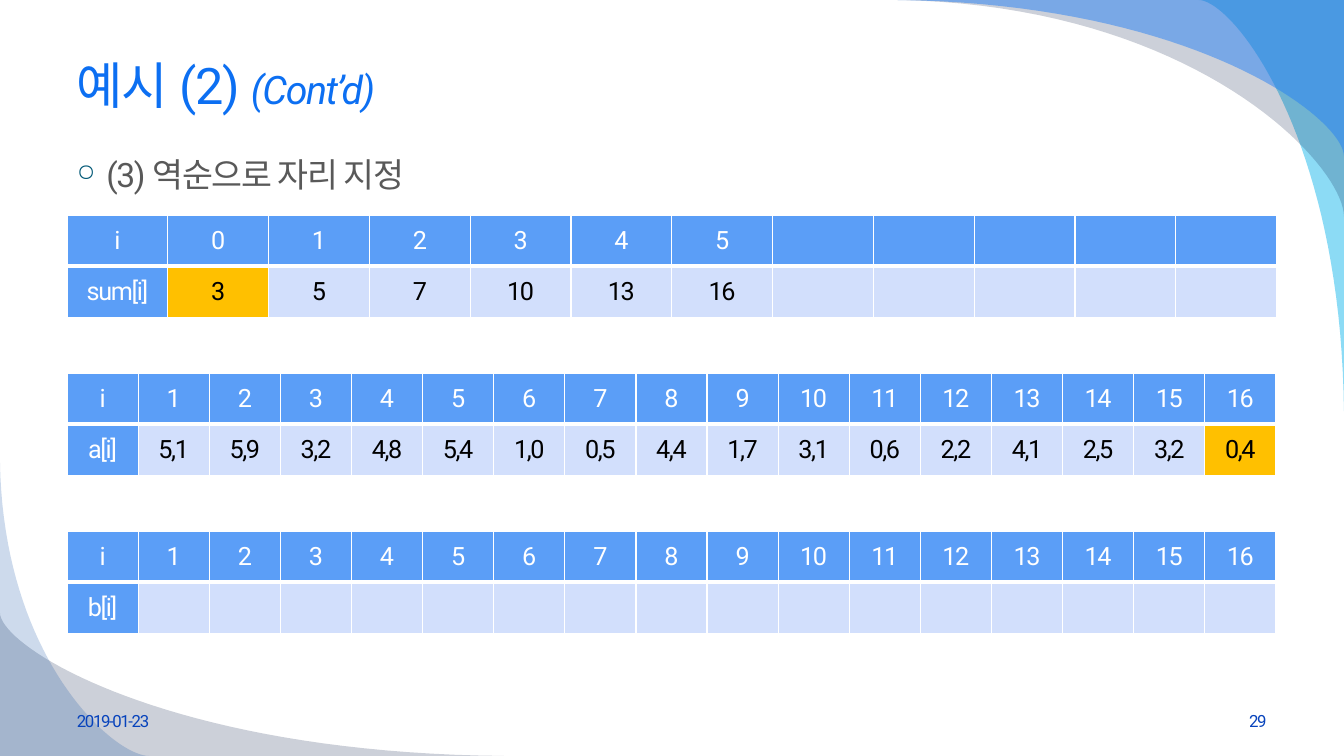
from lxml import etree
from pptx import Presentation
from pptx.dml.color import RGBColor
from pptx.enum.text import MSO_ANCHOR, PP_ALIGN
from pptx.oxml.ns import qn
from pptx.util import Cm, Pt

LEFT, CENTER, RIGHT = PP_ALIGN.LEFT, PP_ALIGN.CENTER, PP_ALIGN.RIGHT
TOP, MIDDLE = MSO_ANCHOR.TOP, MSO_ANCHOR.MIDDLE
FONT = "Roboto"
WHITE, BLACK, HEADER, BODY, MARKED = "FFFFFF", "000000", "5B9EF7", "D2DFFC", "FFC000"
FOOTER_BLUE = "0743BC"


def color(hex_string):
    return RGBColor.from_string(hex_string)


def write(para, text, size=18, ink=WHITE, italic=False, align=LEFT):
    """Add a run with tight letter spacing to a paragraph."""
    para.alignment = align
    span = para.add_run()
    span.text = text
    span.font.size = Pt(size)
    span.font.name = FONT
    span.font.italic = italic
    span.font.color.rgb = color(ink)
    properties = span.font._element
    properties.set("spc", "-100")
    etree.SubElement(properties, qn("a:ea"), typeface=FONT)


deck = Presentation()
deck.slide_width, deck.slide_height = Cm(33.87), Cm(19.05)
page = deck.slides.add_slide(deck.slide_layouts[6])

# Corner swooshes: start, corner and end of each, colour, opacity in percent
swooshes = [
    ((33.87, 10.36), (33.87, 0), (30.2, 0), "00B1E9", 45),
    ((22.58, 0), (33.87, 0), (33.87, 5.46), "021741", 20),
    ((22.58, 0), (33.87, 0), (33.87, 3.94), "247FF4", 49),
    ((12.7, 19.05), (0, 19.05), (0, 15.44), "021741", 20),
    ((0, 11.63), (0, 19.05), (3.76, 19.05), "084AA1", 20),
]
STEPS = 40
for start, corner, end, fill, opacity in swooshes:
    curve = []
    for step in range(STEPS + 1):
        t = step / STEPS
        along = 2 * t - t ** 2
        across = 0.06 * t * (1 - t) ** 2 + 2.28 * t ** 2 * (1 - t) + t ** 3
        curve.append([Cm(s + along * (c - s) + across * (e - c))
                      for s, c, e in zip(start, corner, end)])
    outline = page.shapes.build_freeform(*curve[0])
    outline.add_line_segments(curve[1:] + [[Cm(value) for value in corner]])
    swoosh = outline.convert_to_shape()
    swoosh.shadow.inherit = False
    swoosh.line.fill.background()
    swoosh.fill.solid()
    swoosh.fill.fore_color.rgb = color(fill)
    tint = swoosh._element.spPr.find(qn("a:solidFill"))[0]
    etree.SubElement(tint, qn("a:alpha"), val=str(opacity * 1000))

# Text boxes: left, top, width, height, anchor
places = [
    (1.69, 0.84, 30.48, 2.57, MIDDLE),
    (1.69, 3.76, 30.48, 1.6, TOP),
    (1.69, 17.65, 7.9, 1.02, MIDDLE),
    (24.27, 17.65, 7.9, 1.02, MIDDLE),
]
paras = []
for *place, anchor in places:
    frame = page.shapes.add_textbox(*[Cm(value) for value in place]).text_frame
    frame.word_wrap = True
    frame.vertical_anchor = anchor
    paras.append(frame.paragraphs[0])
title, step_line, date, number = paras

write(title, "예시 (2) ", size=36, ink="0C6FF2")
write(title, "(Cont’d)", size=28, ink="0C6FF2", italic=True)

bullet = step_line._p.get_or_add_pPr()
bullet.set("marL", str(Cm(0.74)))
bullet.set("indent", str(Cm(-0.74)))
bullet_color = etree.SubElement(bullet, qn("a:buClr"))
etree.SubElement(bullet_color, qn("a:srgbClr"), val="005876")
etree.SubElement(bullet, qn("a:buSzPct"), val="70000")
etree.SubElement(bullet, qn("a:buChar"), char="○")
write(step_line, "(3) 역순으로 자리 지정", size=24, ink="595959")

write(date, "2019-01-23", size=12, ink=FOOTER_BLUE)
write(number, "29", size=12, ink=FOOTER_BLUE, align=RIGHT)

# Arrays: name, first index, last index, column count, values, marked column
arrays = [
    ("sum[i]", 0, 5, 12, "3 5 7 10 13 16", 1),
    ("a[i]", 1, 16, 17,
     "5,1 5,9 3,2 4,8 5,4 1,0 0,5 4,4 1,7 3,1 0,6 2,2 4,1 2,5 3,2 0,4", 16),
    ("b[i]", 1, 16, 17, "", None),
]
for order, (name, first, last, columns, values, marked) in enumerate(arrays):
    table = page.shapes.add_table(2, columns, Cm(1.69), Cm(5.42 + 3.98 * order),
                                  Cm(30.48), Cm(2.58)).table
    table.first_row = table.horz_banding = False
    for column in table.columns:
        column.width = Cm(30.48 / columns)
    rows = [["i", *map(str, range(first, last + 1))], [name, *values.split()]]
    for r, texts in enumerate(rows):
        for c in range(columns):
            cell = table.cell(r, c)
            cell.vertical_anchor = MIDDLE
            is_header = r == 0 or c == 0
            for side in "LRTB":
                # A thick rule parts the header row from the values
                points = 3 if (r, side) in ((0, "B"), (1, "T")) else 1
                border = etree.SubElement(cell._tc.get_or_add_tcPr(),
                                          qn("a:ln" + side), w=str(Pt(points)))
                paint = etree.SubElement(border, qn("a:solidFill"))
                etree.SubElement(paint, qn("a:srgbClr"), val=WHITE)
            fill = HEADER if is_header else MARKED if c == marked else BODY
            cell.fill.solid()
            cell.fill.fore_color.rgb = color(fill)
            if c < len(texts):
                write(cell.text_frame.paragraphs[0], texts[c],
                      ink=WHITE if is_header else BLACK, align=CENTER)

deck.save("out.pptx")
